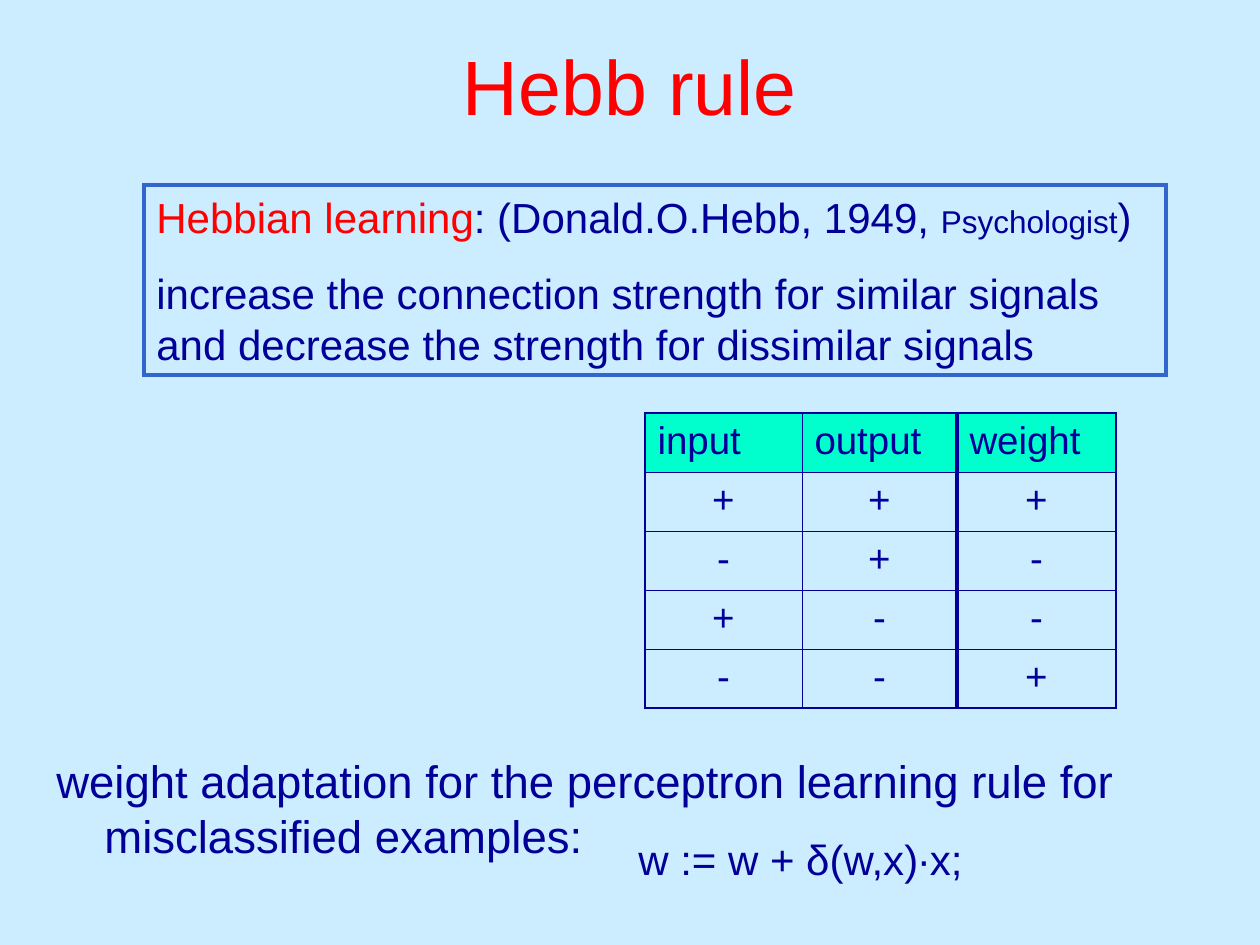
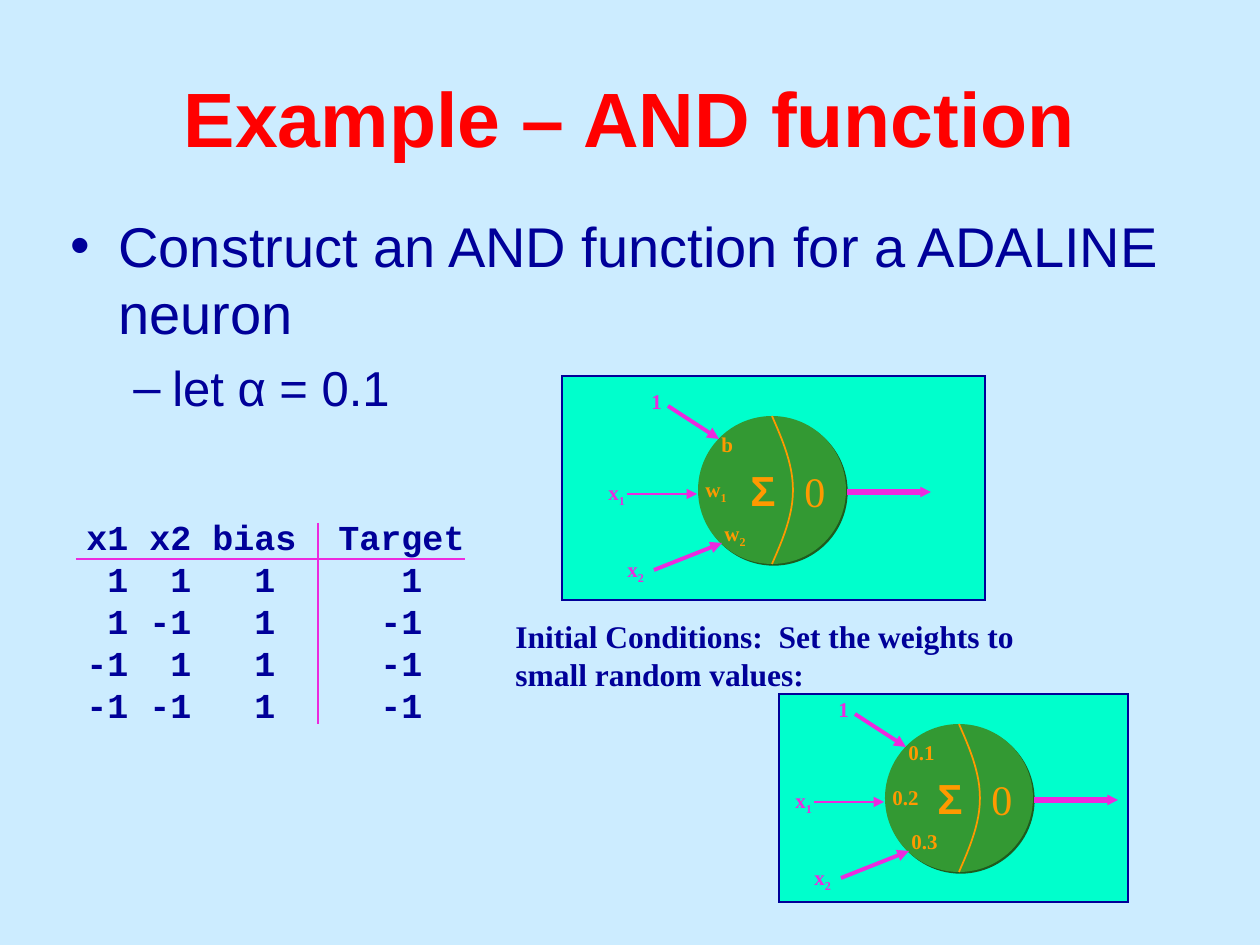
import pptx
import pptx.dml.color
import pptx.enum.shapes
import pptx.enum.text
import pptx.oxml
import pptx.oxml.ns
import pptx.util
from lxml import etree

RGBColor = pptx.dml.color.RGBColor
SKY = RGBColor(0xCC, 0xEC, 0xFF)
NAVY = RGBColor(0x00, 0x00, 0x99)
RED = RGBColor(0xFF, 0x00, 0x00)
BLUE = RGBColor(0x33, 0x66, 0xCC)
MINT = RGBColor(0x00, 0xFF, 0xCC)
GREEN = RGBColor(0x33, 0x99, 0x33)
DARK_GREEN = RGBColor(0x1E, 0x5B, 0x1E)
ORANGE = RGBColor(0xFF, 0x99, 0x00)
MAGENTA = RGBColor(0xEC, 0x2A, 0xDE)

SANS = "Arial"
SERIF = "Times New Roman"
MONO = "Courier New"
CENTER = pptx.enum.text.PP_ALIGN.CENTER
PX_PER_INCH = 126
MONO_CHAR = 21


def px(length):
    return pptx.util.Emu(round(length * 914400 / PX_PER_INCH))


def box(left, top, width, height):
    return px(left), px(top), px(width), px(height)


def add_xml(parent, tag, **attributes):
    return etree.SubElement(parent, pptx.oxml.ns.qn(tag), attributes)


def style_run(run, size, color=NAVY, font=SANS, bold=False):
    run.font.size = pptx.util.Pt(size)
    run.font.color.rgb = color
    run.font.name = font
    run.font.bold = bold


def style_paragraph(paragraph, size, color=NAVY, font=SANS, bold=False):
    for run in paragraph.runs:
        style_run(run, size, color, font, bold)


def add_text(slide, text, bounds, size, color=NAVY, font=SANS, bold=False, wrap=True):
    textbox = slide.shapes.add_textbox(*box(*bounds))
    frame = textbox.text_frame
    frame.word_wrap = wrap
    frame.text = text
    for paragraph in frame.paragraphs:
        style_paragraph(paragraph, size, color, font, bold)
    return frame


def add_slide(deck, title, title_top, bold=False):
    slide = deck.slides.add_slide(deck.slide_layouts[6])
    slide.background.fill.solid()
    slide.background.fill.fore_color.rgb = SKY
    frame = add_text(slide, title, (63, title_top, 1134, 158), 44, RED, bold=bold)
    frame.vertical_anchor = pptx.enum.text.MSO_ANCHOR.MIDDLE
    frame.paragraphs[0].alignment = CENTER
    return slide


def set_indent(paragraph, margin, hanging, bullet=None):
    properties = paragraph._p.get_or_add_pPr()
    properties.set("marL", str(px(margin)))
    properties.set("indent", str(px(-hanging)))
    if bullet:
        add_xml(properties, "a:buFont", typeface=SANS)
        add_xml(properties, "a:buChar", char=bullet)


def set_tabs(paragraph, columns, alignment):
    tabs = add_xml(paragraph._p.get_or_add_pPr(), "a:tabLst")
    for column in columns:
        add_xml(tabs, "a:tab", pos=str(px(column * MONO_CHAR)), algn=alignment)


def add_line(slide, start, end, width, head=None):
    straight = pptx.enum.shapes.MSO_CONNECTOR.STRAIGHT
    line = slide.shapes.add_connector(straight, *map(px, start + end))
    line.line.color.rgb = MAGENTA
    line.line.width = pptx.util.Pt(width)
    if head:
        add_xml(line.line._get_or_add_ln(), "a:tailEnd", type="triangle", w=head, len=head)
    add_xml(line._element.spPr, "a:effectLst")


def add_shape(slide, kind, bounds, fill=None, outline=None, width=0.75):
    shape = slide.shapes.add_shape(kind, *box(*bounds))
    shape.shadow.inherit = False
    if fill is None:
        shape.fill.background()
    else:
        shape.fill.solid()
        shape.fill.fore_color.rgb = fill
    if outline is None:
        shape.line.fill.background()
    else:
        shape.line.color.rgb = outline
        shape.line.width = pptx.util.Pt(width)
        add_xml(shape.line._get_or_add_ln(), "a:miter", lim="800000")
    return shape


def set_border(cell, side, width):
    border = add_xml(cell._tc.get_or_add_tcPr(), f"a:ln{side}", w=str(pptx.util.Pt(width)))
    fill = add_xml(border, "a:solidFill")
    add_xml(fill, "a:srgbClr", val=str(NAVY))


def add_sign_table(slide):
    rows = [("input", "output", "weight"), "+++", "-+-", "+--", "--+"]
    widths = [157, 155, 159]
    upright = [1.08, 0.45, 2.21, 1.08]
    level = [1.08, 0.45, 0.45, 0.45, 0.45, 1.08]
    frame = slide.shapes.add_table(5, 3, *box(645, 413, sum(widths), 5 * 59))
    table = frame.table
    table.first_row = table.horz_banding = False
    for column, width in zip(table.columns, widths):
        column.width = px(width)
    for r, row in enumerate(rows):
        table.rows[r].height = px(59)
        for c, sign in enumerate(row):
            cell = table.cell(r, c)
            cell.text_frame.text = sign
            paragraph = cell.text_frame.paragraphs[0]
            style_paragraph(paragraph, 22)
            set_border(cell, "L", upright[c])
            set_border(cell, "R", upright[c + 1])
            set_border(cell, "T", level[r])
            set_border(cell, "B", level[r + 1])
            if r == 0:
                cell.fill.solid()
                cell.fill.fore_color.rgb = MINT
            else:
                cell.fill.background()
                paragraph.alignment = CENTER


def add_definition(slide):
    rectangle = pptx.enum.shapes.MSO_SHAPE.RECTANGLE
    definition = add_shape(slide, rectangle, (144, 185, 1022, 190), None, BLUE, 2.25)
    frame = definition.text_frame
    frame.word_wrap = True
    frame.vertical_anchor = pptx.enum.text.MSO_ANCHOR.TOP
    heading, rule = frame.paragraphs[0], frame.add_paragraph()
    for text, size, color in [("Hebbian learning", 24, RED),
                              (": (Donald.O.Hebb, 1949, ", 24, NAVY),
                              ("Psychologist", 18, NAVY),
                              (")", 24, NAVY)]:
        run = heading.add_run()
        run.text = text
        style_run(run, size, color)
    rule.text = ("increase the connection strength for similar signals "
                 "and decrease the strength for dissimilar signals")
    style_paragraph(rule, 24)
    rule.space_before = pptx.util.Pt(15)
    for paragraph in frame.paragraphs:
        paragraph.alignment = pptx.enum.text.PP_ALIGN.LEFT


def add_truth_table(slide):
    lines = ["x1\tx2\tbias\tTarget", "\t1\t1\t1\t1", "\t1\t-1\t1\t-1",
             "\t-1\t1\t1\t-1", "\t-1\t-1\t1\t-1"]
    frame = add_text(slide, "\n".join(lines), (74, 509, 412, 223), 20, font=MONO, bold=True)
    header, *cases = frame.paragraphs
    set_tabs(header, [3, 6, 12], "l")
    for case in cases:
        set_tabs(case, [2, 5, 9, 16], "r")
    add_line(slide, (76, 559), (465, 559), 1)
    add_line(slide, (318, 523), (318, 724), 1)


def add_label(slide, text, subscript, left, top, width, color):
    height = 42 if subscript else 38
    frame = add_text(slide, text, (left, top, width, height), 12, color, SERIF, True, False)
    if subscript:
        run = frame.paragraphs[0].add_run()
        run.text = subscript
        style_run(run, 12, color, SERIF, True)
        run.font._element.set("baseline", "-25000")


def bezier(points, t):
    weights = [(1 - t) ** 3, 3 * t * (1 - t) ** 2, 3 * t * t * (1 - t), t ** 3]
    return tuple(sum(w * p[axis] for w, p in zip(weights, points)) for axis in (0, 1))


def add_divider(slide, left, top):
    upper = [(0, 0), (11, 25), (21, 49), (21, 74)]
    lower = [(x, 148 - y) for x, y in reversed(upper)]
    curve = [bezier(half, step / 12) for half in (upper, lower) for step in range(1, 13)]
    builder = slide.shapes.build_freeform(px(left), px(top))
    builder.add_line_segments([(px(left + x), px(top + y)) for x, y in curve], close=False)
    divider = builder.convert_to_shape()
    divider.shadow.inherit = False
    divider.fill.background()
    divider.line.color.rgb = ORANGE
    divider.line.width = pptx.util.Pt(1)


def add_neuron(slide, panel, left, top, weights):
    shapes = pptx.enum.shapes.MSO_SHAPE
    add_shape(slide, shapes.RECTANGLE, panel, MINT, NAVY)
    body = add_shape(slide, shapes.OVAL, (left, top, 148, 148), GREEN)
    effects = body._element.spPr.find(pptx.oxml.ns.qn("a:effectLst"))
    shadow = add_xml(effects, "a:outerShdw", dist=str(pptx.util.Pt(1.4)), dir="2700000")
    add_xml(shadow, "a:srgbClr", val=str(DARK_GREEN))
    add_divider(slide, left + 74, top)
    add_text(slide, "0", (left + 94, top + 43, 45, 63), 24, ORANGE, SERIF, wrap=False)
    add_text(slide, "Σ", (left + 40, top + 42, 49, 63), 24, ORANGE, bold=True, wrap=False)

    places = [(11, 9), (-5, 54), (14, 98)]
    for (text, subscript, width), (x, y) in zip(weights, places):
        add_label(slide, text, subscript, left + x, top + y, width, ORANGE)
    for text, subscript, x, y, width in [("1", "", -59, -34, 35),
                                         ("x", "1", -102, 57, 42),
                                         ("x", "2", -83, 134, 42)]:
        add_label(slide, text, subscript, left + x, top + y, width, MAGENTA)
    for x1, y1, x2, y2, width, head in [(149, 76, 233, 76, 3, "sm"),
                                        (-30, -10, 21, 23, 2.25, "med"),
                                        (-44, 154, 24, 127, 2.25, "med"),
                                        (-71, 78, -1, 78, 1.5, "med")]:
        add_line(slide, (left + x1, top + y1), (left + x2, top + y2), width, head)


def build_hebb_rule(deck):
    slide = add_slide(deck, "Hebb rule", 6)
    adaptation = add_text(
        slide, "weight adaptation for the perceptron learning rule for misclassified examples:",
        (44, 747, 1144, 171), 26)
    set_indent(adaptation.paragraphs[0], 48, 48)
    add_definition(slide)
    add_sign_table(slide)
    add_text(slide, "w := w + δ(w,x)∙x;", (626, 827, 352, 63), 24, wrap=False)


def build_and_example(deck):
    slide = add_slide(deck, "Example – AND function", 38, True)
    task = add_text(slide, "Construct an AND function for a ADALINE neuron\nlet α = 0.1",
                    (58, 205, 1134, 624), 32)
    goal, rate = task.paragraphs
    set_indent(goal, 48, 48, "•")
    rate.level = 1
    rate.space_before = pptx.util.Pt(7)
    set_indent(rate, 102, 39, "–")
    style_paragraph(rate, 28)
    add_truth_table(slide)
    add_neuron(slide, (562, 376, 423, 224), 698, 416,
               [("b", "", 37), ("w", "1", 47), ("w", "2", 47)])
    add_text(slide, "Initial Conditions:  Set the weights to small random values:",
             (503, 611, 581, 88), 18, font=SERIF, bold=True)
    add_neuron(slide, (779, 694, 349, 208), 885, 724,
               [("0.1", "", 52), ("0.2", "", 52), ("0.3", "", 52)])


def main():
    deck = pptx.Presentation()
    deck.slide_width, deck.slide_height = px(1260), px(945)
    build_hebb_rule(deck)
    build_and_example(deck)
    deck.save("out.pptx")


if __name__ == "__main__":
    main()
